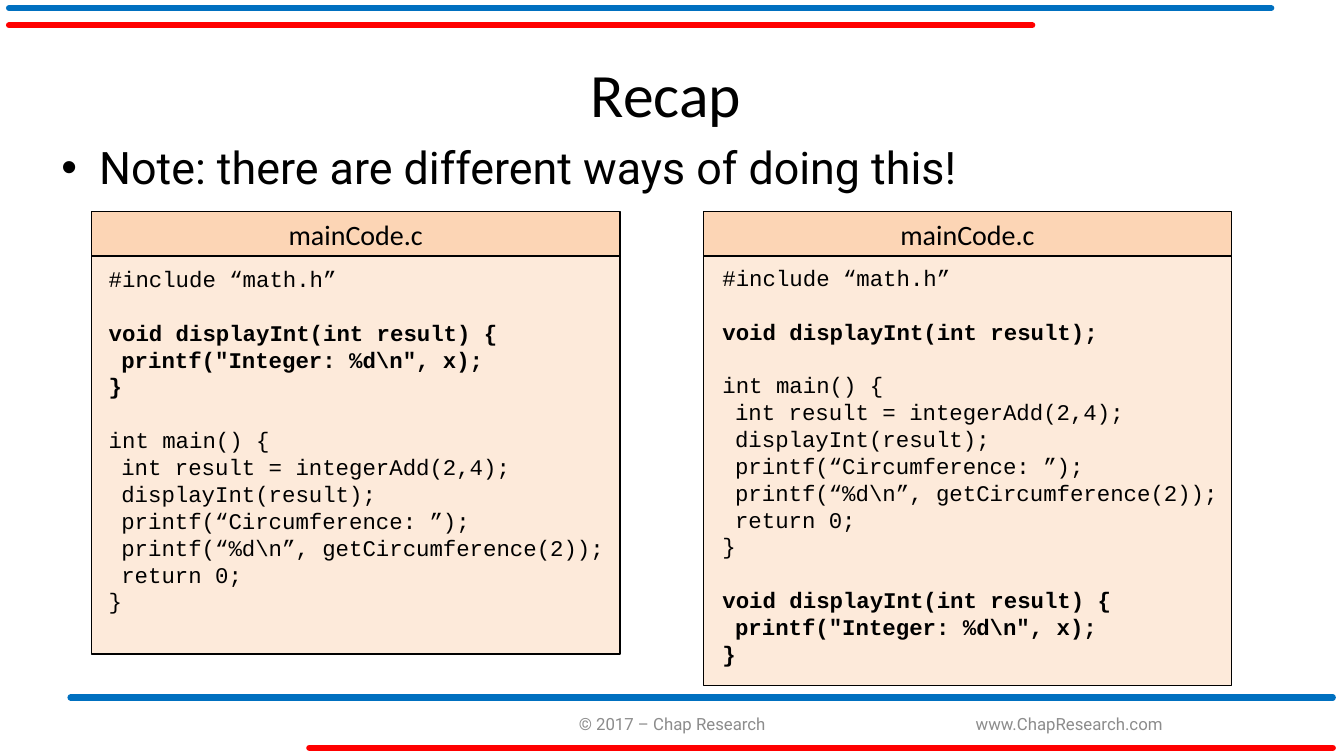
from dataclasses import dataclass

from lxml import etree
from pptx import Presentation
from pptx.dml.color import RGBColor
from pptx.enum.shapes import MSO_CONNECTOR, MSO_SHAPE
from pptx.enum.text import MSO_ANCHOR, MSO_AUTO_SIZE, PP_ALIGN
from pptx.oxml.ns import qn
from pptx.util import Pt

STRAIGHT = MSO_CONNECTOR.STRAIGHT
RECTANGLE = MSO_SHAPE.RECTANGLE
LEFT, CENTER = PP_ALIGN.LEFT, PP_ALIGN.CENTER
TOP, MIDDLE = MSO_ANCHOR.TOP, MSO_ANCHOR.MIDDLE
NO_AUTOSIZE = MSO_AUTO_SIZE.NONE

TITLE = "Recap"
NOTE = "Note: there are different ways of doing this!"
FILE_NAME = "mainCode.c"
FOOTERS = [("© 2017 – Chap Research", 380.2), ("www.ChapResearch.com", 663.8)]

# A code block is (bold, lines); a blank line separates blocks.
INCLUDE = (False, ["#include “math.h”"])
PROTOTYPE = (True, ["void displayInt(int result);"])
DEFINITION = (True, [
    "void displayInt(int result) {",
    "\tprintf(\"Integer: %d\\n\", x);",
    "}",
])
MAIN = (False, [
    "int main() {",
    "\tint result = integerAdd(2,4);",
    "\tdisplayInt(result);",
    "\tprintf(“Circumference: ”);",
    "\tprintf(“%d\\n”, getCircumference(2));",
    "\treturn 0;",
    "}",
])
# left, bottom, code left, code top, blocks
PANELS = [
    (65.5, 467.3, 70.6, 185.8, [INCLUDE, DEFINITION, MAIN]),
    (502.5, 489.6, 509, 185, [INCLUDE, PROTOTYPE, MAIN, DEFINITION]),
]


@dataclass(frozen=True)
class Theme:
    black: str = "000000"
    gray: str = "8C8C8C"
    blue: str = "0070C0"
    red: str = "FF0000"
    header_fill: str = "FCD5B5"
    body_fill: str = "FDEADA"
    heading_font: str = "Calibri"
    text_font: str = "Roboto"
    code_font: str = "Courier New"
    title_size: float = 44
    note_size: float = 32
    header_size: float = 20
    code_size: float = 16
    footer_size: float = 12
    code_pitch: float = 19.2
    code_indent: float = 9
    rule_width: float = 4.5


THEME = Theme()
# colour, x from, x to, y
RULES = [
    (THEME.red, 221, 952, 534.2),
    (THEME.blue, 50.4, 952, 498.2),
    (THEME.blue, 6.5, 908, 5.8),
    (THEME.red, 6.5, 737.3, 18),
]
PANEL_WIDTH = 377.3
HEADER_TOP, HEADER_HEIGHT = 151.2, 31.7


def prepare_frame(shape, anchor=TOP):
    frame = shape.text_frame
    frame.word_wrap = True
    frame.auto_size = NO_AUTOSIZE
    frame.vertical_anchor = anchor
    return frame


def write(paragraph, text, *, font, size, color=THEME.black, bold=False, align=LEFT,
          indent=0, hanging=0, bullet=None, pitch=None, before=0):
    properties = paragraph._p.get_or_add_pPr()
    properties.set("marL", str(Pt(indent)))
    properties.set("indent", str(-Pt(hanging)))
    if bullet:
        etree.SubElement(properties, qn("a:buFont")).set("typeface", "Arial")
        etree.SubElement(properties, qn("a:buChar")).set("char", bullet)
    paragraph.alignment = align
    paragraph.space_before = Pt(before)
    if pitch:
        paragraph.line_spacing = Pt(pitch)
    run = paragraph.add_run()
    run.text = text
    run.font.name = font
    run.font.size = Pt(size)
    run.font.bold = bold
    run.font.color.rgb = RGBColor.from_string(color)


def add_text_box(shapes, left, top, width, height, anchor=TOP):
    box = shapes.add_textbox(Pt(left), Pt(top), Pt(width), Pt(height))
    return prepare_frame(box, anchor)


def add_rule(shapes, color, start, end, y):
    rule = shapes.add_connector(STRAIGHT, Pt(start), Pt(y), Pt(end), Pt(y))
    rule.line.color.rgb = RGBColor.from_string(color)
    rule.line.width = Pt(THEME.rule_width)
    rule.line._get_or_add_ln().set("cap", "rnd")
    etree.SubElement(rule._element.spPr, qn("a:effectLst"))


def add_panel_box(shapes, left, top, height, fill):
    box = shapes.add_shape(RECTANGLE, Pt(left), Pt(top), Pt(PANEL_WIDTH), Pt(height))
    box.shadow.inherit = False
    box.fill.solid()
    box.fill.fore_color.rgb = RGBColor.from_string(fill)
    box.line.color.rgb = RGBColor.from_string(THEME.black)
    box.line.width = Pt(1)
    return box


def add_code(shapes, left, top, height, blocks):
    frame = add_text_box(shapes, left, top, PANEL_WIDTH, height)
    paragraph = frame.paragraphs[0]
    for block_index, (bold, lines) in enumerate(blocks):
        for line_index, line in enumerate(lines):
            if block_index or line_index:
                paragraph = frame.add_paragraph()
            starts_later_block = block_index > 0 and line_index == 0
            write(paragraph, line.lstrip("\t"), font=THEME.code_font,
                  size=THEME.code_size, bold=bold, pitch=THEME.code_pitch,
                  indent=THEME.code_indent if line.startswith("\t") else 0,
                  before=THEME.code_pitch if starts_later_block else 0)


def add_panel(slide, left, bottom, code_left, code_top, blocks):
    shapes = slide.shapes.add_group_shape().shapes
    body_top = HEADER_TOP + HEADER_HEIGHT - 3.6
    add_panel_box(shapes, left, body_top, bottom - body_top, THEME.body_fill)
    header = add_panel_box(shapes, left, HEADER_TOP, HEADER_HEIGHT, THEME.header_fill)
    write(prepare_frame(header, MIDDLE).paragraphs[0], FILE_NAME,
          font=THEME.heading_font, size=THEME.header_size, align=CENTER)
    add_code(shapes, code_left, code_top, bottom - code_top, blocks)


def main():
    presentation = Presentation()
    presentation.slide_width, presentation.slide_height = Pt(960), Pt(540)
    slide = presentation.slides.add_slide(presentation.slide_layouts[5])

    title = slide.shapes.title
    title.left, title.top, title.width, title.height = Pt(15.8), Pt(21.6), Pt(920), Pt(90)
    write(prepare_frame(title, MIDDLE).paragraphs[0], TITLE,
          font=THEME.heading_font, size=THEME.title_size, align=CENTER)

    for rule in RULES:
        add_rule(slide.shapes, *rule)
    for text, left in FOOTERS:
        frame = add_text_box(slide.shapes, left, 502.6, 200, 28.8, MIDDLE)
        write(frame.paragraphs[0], text, font=THEME.text_font,
              size=THEME.footer_size, color=THEME.gray, align=CENTER)

    note = add_text_box(slide.shapes, 36.7, 96.6, 893, 50)
    write(note.paragraphs[0], NOTE, font=THEME.text_font, size=THEME.note_size,
          indent=27, hanging=27, bullet="•")

    for panel in PANELS:
        add_panel(slide, *panel)
    presentation.save("out.pptx")


if __name__ == "__main__":
    main()
